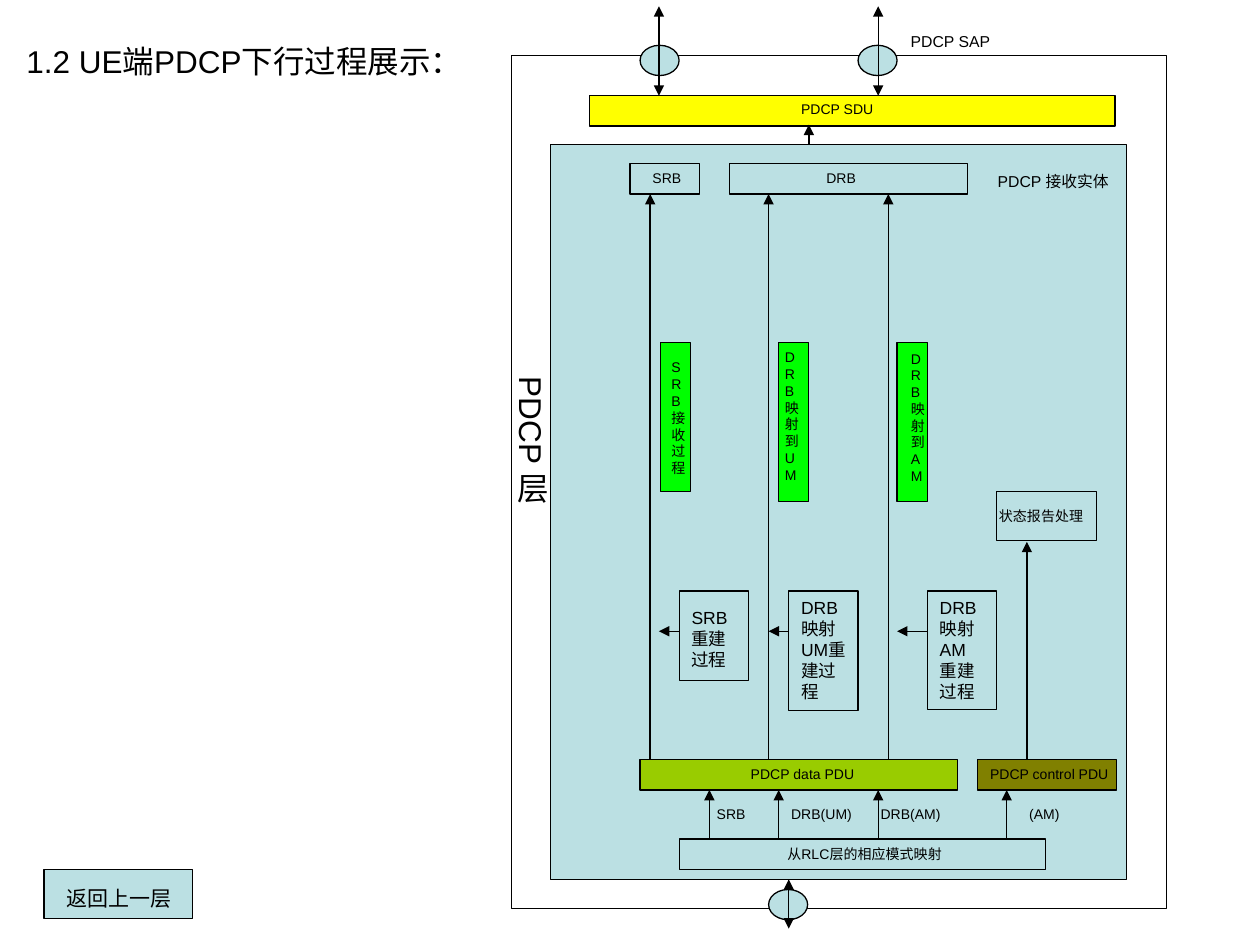
from pptx import Presentation
from pptx.dml.color import RGBColor
from pptx.enum.shapes import MSO_CONNECTOR, MSO_SHAPE
from pptx.enum.text import MSO_ANCHOR, MSO_AUTO_SIZE, PP_ALIGN
from pptx.oxml.ns import qn
from pptx.util import Pt
from lxml import etree

RECTANGLE, ELLIPSE = MSO_SHAPE.RECTANGLE, MSO_SHAPE.OVAL
STRAIGHT = MSO_CONNECTOR.STRAIGHT
TOP, LEFT, FIT = MSO_ANCHOR.TOP, PP_ALIGN.LEFT, MSO_AUTO_SIZE.SHAPE_TO_FIT_TEXT

BLACK = RGBColor(0x00, 0x00, 0x00)
WHITE = RGBColor(0xFF, 0xFF, 0xFF)
PALE_BLUE = RGBColor(0xBB, 0xE0, 0xE3)
YELLOW = RGBColor(0xFF, 0xFF, 0x00)
LIME = RGBColor(0x99, 0xCC, 0x00)
OLIVE = RGBColor(0x80, 0x80, 0x00)
GREEN = RGBColor(0x00, 0xFF, 0x00)

PX = 9144
FONT = "Arial"
LINE_WIDTH = Pt(0.75)

TITLE = ("1.2 UE端PDCP下行过程展示：", 11, 28, 384, 40, 18)

BOXES = [
    (WHITE, 406, 44, 520, 677),
    (YELLOW, 468, 76, 417, 24),
    (PALE_BLUE, 437, 115, 457, 583),
    (PALE_BLUE, 500, 130, 55, 24),
    (PALE_BLUE, 579, 130, 189, 24),
    (GREEN, 524, 272, 24, 118),
    (GREEN, 618, 272, 24, 126),
    (GREEN, 712, 272, 24, 126),
    (PALE_BLUE, 791, 390, 79, 39),
    (PALE_BLUE, 539, 469, 55, 71),
    (PALE_BLUE, 626, 469, 55, 95),
    (PALE_BLUE, 736, 469, 55, 94),
    (LIME, 508, 603, 252, 24),
    (OLIVE, 776, 603, 110, 24),
    (PALE_BLUE, 539, 666, 291, 24),
    (PALE_BLUE, 35, 690, 118, 39),
]
ACCESS_POINTS = [(508, 36), (681, 36), (610, 706)]
ACCESS_SIZE = (31, 24)

UP_ARROWS = [
    (523, 60, 5), (697, 60, 5), (626, 729, 698),
    (642, 115, 99),
    (516, 603, 154), (610, 603, 154), (705, 603, 154), (815, 603, 430),
    (563, 666, 627), (618, 666, 627), (697, 666, 627), (799, 666, 627),
]
DOWN_ARROWS = [(523, 28, 76), (697, 28, 76), (626, 698, 737)]
REBUILD_Y = 501
REBUILD_ARROWS = [(539, 523), (626, 610), (736, 712)]

LABELS = [
    ("PDCP SAP", 713, 20, 83, 25, 9),
    ("PDCP SDU", 626, 75, 80, 24, 8),
    ("SRB", 508, 130, 46, 24, 8),
    ("DRB", 646, 130, 46, 24, 8),
    ("PDCP 接收实体", 782, 131, 111, 25, 9),
    ("状态报告处理", 783, 398, 87, 24, 8),
    ("PDCP data PDU", 586, 603, 102, 24, 8),
    ("PDCP control PDU", 776, 603, 114, 24, 8),
    ("SRB", 559, 634, 46, 24, 8),
    ("DRB(UM)", 618, 634, 71, 24, 8),
    ("DRB(AM)", 689, 634, 71, 24, 8),
    ("从RLC层的相应模式映射", 615, 666, 148, 24, 8),
    ("返回上一层", 43, 698, 103, 30, 12),
]
WRAPPED_LABELS = [
    ("SRB接收过程", 523, 280, 28, 103, 8),
    ("DRB映射到UM", 613, 272, 28, 117, 8),
    ("DRB映射到AM", 713, 273, 28, 117, 8),
    ("SRB重建过程", 539, 477, 55, 60, 10),
    ("DRB映射UM重建过程", 626, 469, 55, 94, 10),
    ("DRB映射AM\n重建过程", 736, 469, 55, 94, 10),
    ("(AM)", 807, 634, 52, 24, 8),
]
LAYER_LABEL = ("PDCP 层", 392, 289, 50, 118, 18)


def emu(*lengths):
    return [length * PX for length in lengths]


def add_box(slide, kind, color, *place):
    shape = slide.shapes.add_shape(kind, *emu(*place))
    shape.shadow.inherit = False
    shape.fill.solid()
    shape.fill.fore_color.rgb = color
    shape.line.color.rgb = BLACK
    shape.line.width = LINE_WIDTH


def add_arrow(slide, *ends):
    connector = slide.shapes.add_connector(STRAIGHT, *emu(*ends))
    connector.line.color.rgb = BLACK
    connector.line.width = LINE_WIDTH
    properties = connector._element.spPr
    line = properties.find(qn("a:ln"))
    etree.SubElement(line, qn("a:tailEnd"), type="triangle")
    etree.SubElement(properties, qn("a:effectLst"))


def write(shape, text, size, wrap):
    frame = shape.text_frame
    frame.text = text
    frame.word_wrap = wrap
    frame.auto_size = FIT
    frame.vertical_anchor = TOP
    for paragraph in frame.paragraphs:
        paragraph.alignment = LEFT
        paragraph.font.name = FONT
        paragraph.font.size = Pt(size)
        paragraph.font.color.rgb = BLACK
    return frame


def add_label(slide, label, wrap=False):
    text, *place, size = label
    return write(slide.shapes.add_textbox(*emu(*place)), text, size, wrap)


def main():
    presentation = Presentation()
    presentation.slide_width, presentation.slide_height = emu(1000, 750)
    slide = presentation.slides.add_slide(presentation.slide_layouts[5])

    text, *place, size = TITLE
    title = slide.shapes.title
    title.left, title.top, title.width, title.height = emu(*place)
    write(title, text, size, False)

    for color, *place in BOXES:
        add_box(slide, RECTANGLE, color, *place)
    for corner in ACCESS_POINTS:
        add_box(slide, ELLIPSE, PALE_BLUE, *corner, *ACCESS_SIZE)

    for x, start, end in UP_ARROWS + DOWN_ARROWS:
        add_arrow(slide, x, start, x, end)
    for start, end in REBUILD_ARROWS:
        add_arrow(slide, start, REBUILD_Y, end, REBUILD_Y)

    for label in LABELS:
        add_label(slide, label)
    for label in WRAPPED_LABELS:
        add_label(slide, label, wrap=True)

    frame = add_label(slide, LAYER_LABEL)
    frame.margin_left, frame.margin_right = emu(5, 5)
    frame.margin_top, frame.margin_bottom = emu(10, 10)
    frame._txBody.bodyPr.set("vert", "eaVert")

    presentation.save("out.pptx")


if __name__ == "__main__":
    main()
